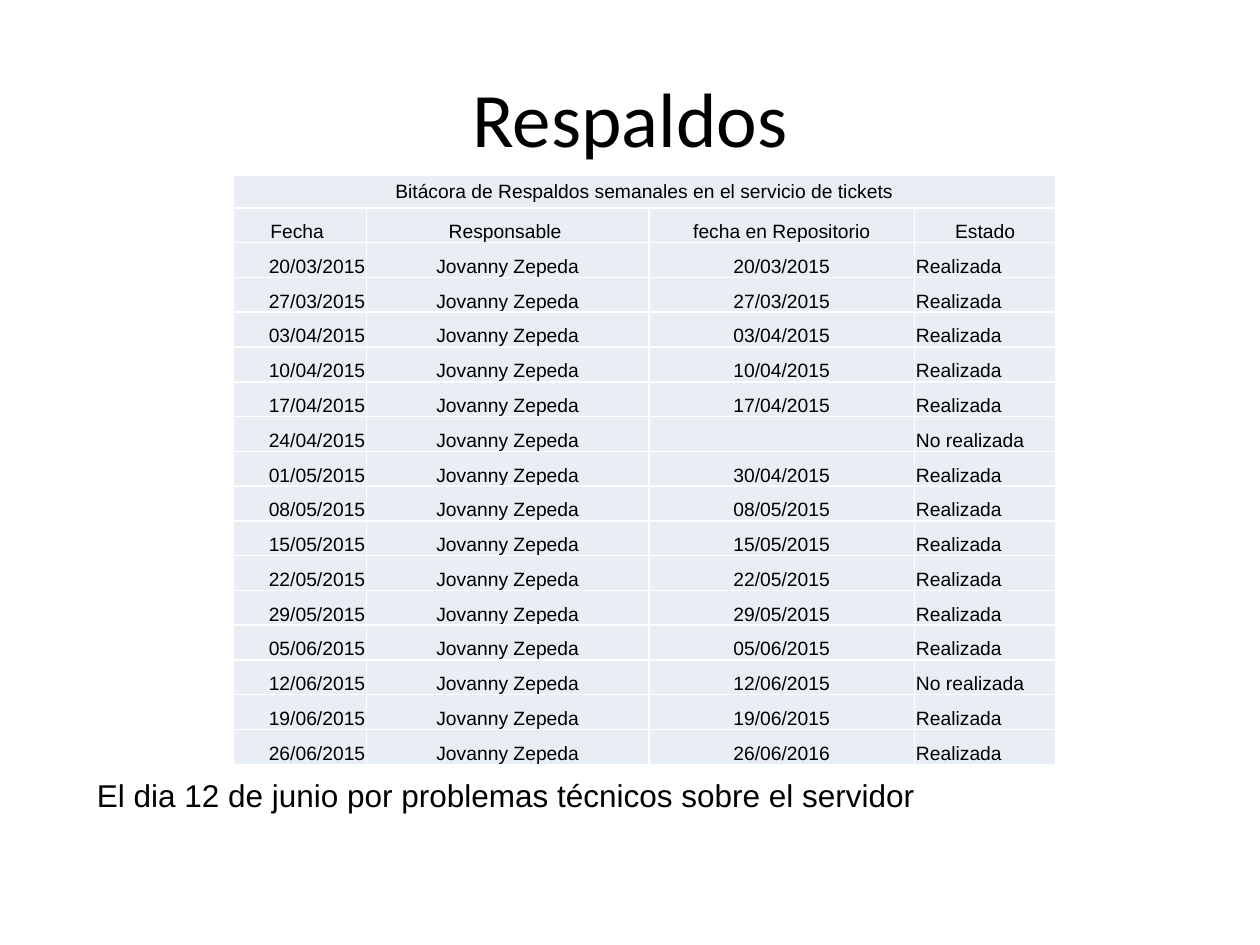
from dataclasses import dataclass

from lxml import etree
from pptx import Presentation
from pptx.dml.color import RGBColor
from pptx.enum import text as t
from pptx.oxml.ns import qn
from pptx.util import Inches, Pt


@dataclass(frozen=True)
class Theme:
    ink: RGBColor = RGBColor(0x00, 0x00, 0x00)
    cell: RGBColor = RGBColor(0xE9, 0xED, 0xF4)
    border: str = "FFFFFF"
    title_font: str = "Calibri"
    body_font: str = "Arial"
    title_size: int = 44
    note_size: int = 18
    cell_size: int = 11


theme = Theme()
LEFT, CENTER, RIGHT = t.PP_ALIGN.LEFT, t.PP_ALIGN.CENTER, t.PP_ALIGN.RIGHT


def write(frame, words, size, font, align):
    frame.text = words
    paragraph = frame.paragraphs[0]
    paragraph.alignment = align
    for run in paragraph.runs:
        run.font.size = Pt(size)
        run.font.name = font
        run.font.color.rgb = theme.ink
    if not words:
        # An empty cell keeps the row's type size
        etree.SubElement(paragraph._p, qn("a:endParaRPr"), sz=str(size * 100))


def add_borders(cell):
    properties = cell._tc.get_or_add_tcPr()
    for side in ("lnL", "lnR", "lnT", "lnB"):
        line = etree.SubElement(properties, qn(f"a:{side}"), w=str(Pt(1)))
        fill = etree.SubElement(line, qn("a:solidFill"))
        etree.SubElement(fill, qn("a:srgbClr"), val=theme.border)


prs = Presentation()
prs.slide_width, prs.slide_height = Inches(10), Inches(7.5)
slide = prs.slides.add_slide(prs.slide_layouts[6])

# Title
title = slide.shapes.add_textbox(Inches(0.5), Inches(0.3), Inches(9), Inches(1.25)).text_frame
title.word_wrap = True
title.vertical_anchor = t.MSO_ANCHOR.MIDDLE
write(title, "Respaldos", theme.title_size, theme.title_font, CENTER)

# Backup log: weekly dates, with the weeks that differ
backup_dates = [
    "20/03/2015", "27/03/2015", "03/04/2015", "10/04/2015", "17/04/2015",
    "24/04/2015", "01/05/2015", "08/05/2015", "15/05/2015", "22/05/2015",
    "29/05/2015", "05/06/2015", "12/06/2015", "19/06/2015", "26/06/2015",
]
repository_dates = {"24/04/2015": "", "01/05/2015": "30/04/2015", "26/06/2015": "26/06/2016"}
missed = {"24/04/2015", "12/06/2015"}

log_rows = [
    ["Bitácora de Respaldos semanales en el servicio de tickets", "", "", ""],
    ["Fecha ", "Responsable ", "fecha en Repositorio", "Estado"],
]
for date in backup_dates:
    status = "No realizada" if date in missed else "Realizada"
    log_rows.append([date, "Jovanny Zepeda", repository_dates.get(date, date), status])

# Table grid
column_widths = [1.06, 2.24, 2.11, 1.12]
heading_height, log_height = 0.26, 4.68
row_height = (log_height - heading_height) / (len(log_rows) - 1)
log = slide.shapes.add_table(
    len(log_rows), len(column_widths),
    Inches(1.85), Inches(1.39), Inches(sum(column_widths)), Inches(log_height),
).table
for column, width in zip(log.columns, column_widths):
    column.width = Inches(width)
for index, row in enumerate(log.rows):
    row.height = Inches(row_height if index else heading_height)
log.cell(0, 0).merge(log.cell(0, 3))

# Table cells
date_alignments = [RIGHT, CENTER, CENTER, LEFT]
for row, values in enumerate(log_rows):
    for column, value in enumerate(values):
        cell = log.cell(row, column)
        cell.margin_left = cell.margin_right = cell.margin_top = Inches(0.01)
        cell.margin_bottom = 0
        cell.vertical_anchor = t.MSO_ANCHOR.BOTTOM if row else t.MSO_ANCHOR.MIDDLE
        align = date_alignments[column] if row > 1 else CENTER
        write(cell.text_frame, value, theme.cell_size, theme.body_font, align)
        add_borders(cell)
        cell.fill.solid()
        cell.fill.fore_color.rgb = theme.cell

# Note below the table
note = slide.shapes.add_textbox(Inches(0.67), Inches(6.11), Inches(8.98), Inches(0.4)).text_frame
note.word_wrap = True
note.auto_size = t.MSO_AUTO_SIZE.SHAPE_TO_FIT_TEXT
write(note, "El dia 12 de junio por problemas técnicos sobre el servidor",
      theme.note_size, theme.body_font, LEFT)

prs.save("out.pptx")
